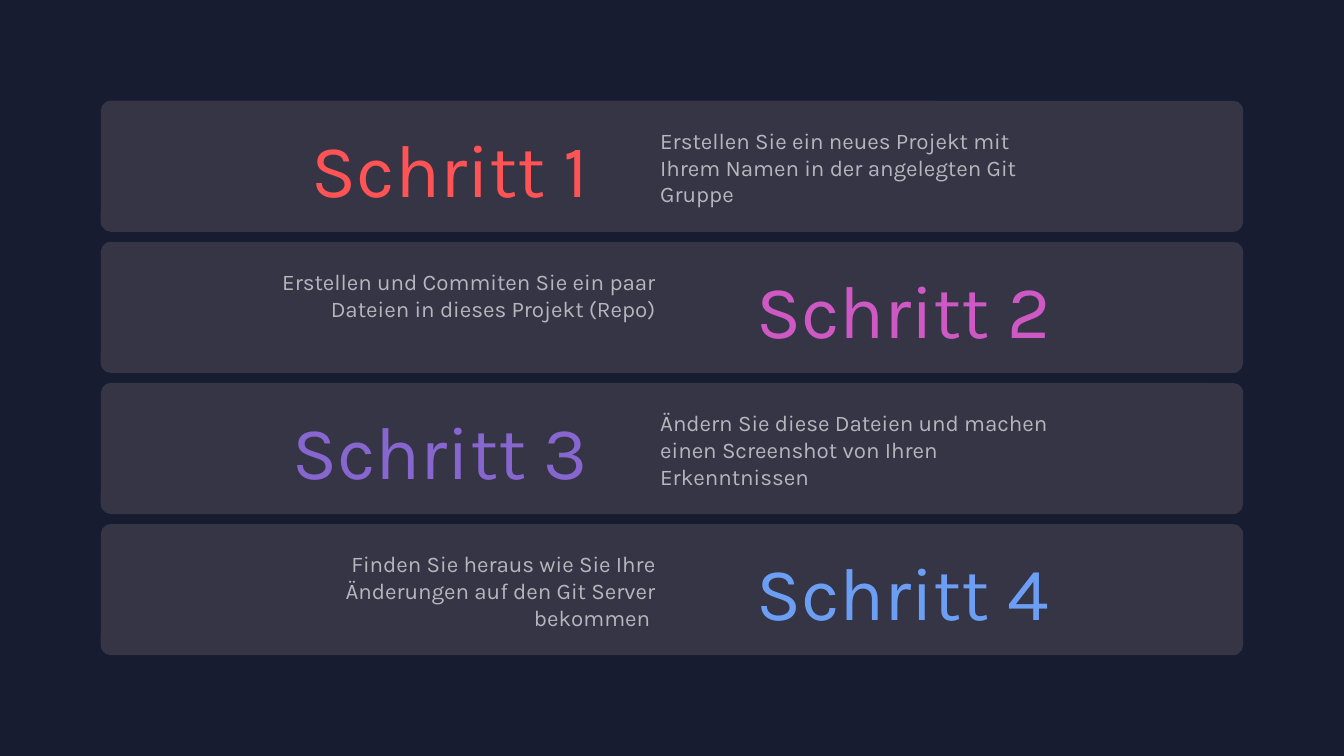
from pptx import Presentation
from pptx.dml.color import RGBColor
from pptx.enum.shapes import MSO_SHAPE
from pptx.enum.text import MSO_AUTO_SIZE, PP_ALIGN
from pptx.util import Inches, Pt

ROUNDED = MSO_SHAPE.ROUNDED_RECTANGLE
GROW = MSO_AUTO_SIZE.SHAPE_TO_FIT_TEXT
LEFT, RIGHT = PP_ALIGN.LEFT, PP_ALIGN.RIGHT
FONT = "Karla"
BACKGROUND, CARD, BODY = "171C30", "353545", "B6B6BD"
FIRST_TOP, PITCH = 1, 1.4

# Heading, description, gradient start and end, clockwise gradient angle
STEPS = [
    ("Schritt 1", "Erstellen Sie ein neues Projekt mit Ihrem Namen in der angelegten Git Gruppe",
     "FF5355", "CE59C4", 110),
    ("Schritt 2", "Erstellen und Commiten Sie ein paar Dateien in dieses Projekt (Repo)",
     "CE59C4", "8766D0", 110),
    ("Schritt 3", "Ändern Sie diese Dateien und machen einen Screenshot von Ihren Erkenntnissen",
     "8766D0", "6C9FF4", 310),
    ("Schritt 4", "Finden Sie heraus wie Sie Ihre Änderungen auf den Git Server bekommen ",
     "6C9FF4", "5BC9B0", 310),
]


def color(value):
    return RGBColor.from_string(value)


def add_card(slide, top):
    card = slide.shapes.add_shape(ROUNDED, Inches(1), Inches(top), Inches(11.33), Inches(1.3))
    card.adjustments[0] = 0.076
    card.shadow.inherit = False
    card.fill.solid()
    card.fill.fore_color.rgb = color(CARD)
    card.line.fill.background()


def add_text(slide, text, left, top, width, height, size, align):
    """Add a growing text box and return the font of its only run."""
    box = slide.shapes.add_textbox(Inches(left), Inches(top), Inches(width), Inches(height))
    frame = box.text_frame
    frame.word_wrap = True
    frame.auto_size = GROW
    frame.text = text
    para = frame.paragraphs[0]
    para.alignment = align
    font = para.runs[0].font
    font.name = FONT
    font.size = Pt(size)
    return font


def fill_gradient(font, start, end, angle):
    font.fill.gradient()
    font.fill.gradient_angle = 360 - angle
    for stop, value, position in zip(font.fill.gradient_stops, (start, end), (0.01, 1)):
        stop.color.rgb = color(value)
        stop.position = position


def add_step(slide, index, heading, description, start, end, angle):
    """Add one card, with the heading left on even indexes and right on odd ones."""
    top = FIRST_TOP + index * PITCH
    if index % 2 == 0:
        heading_left, heading_align, body_left, body_align = 1.41, RIGHT, 6.45, LEFT
    else:
        heading_left, heading_align, body_left, body_align = 7.4, LEFT, 2.44, RIGHT
    add_card(slide, top)
    heading_font = add_text(slide, heading, heading_left, top + 0.17, 4.52, 1, 53.3, heading_align)
    fill_gradient(heading_font, start, end, angle)
    body_font = add_text(slide, description, body_left, top + 0.21, 4.16, 0.64, 16, body_align)
    body_font.color.rgb = color(BODY)


def main():
    deck = Presentation()
    deck.slide_width, deck.slide_height = Inches(13.33), Inches(7.5)
    slide = deck.slides.add_slide(deck.slide_layouts[6])
    slide.background.fill.solid()
    slide.background.fill.fore_color.rgb = color(BACKGROUND)
    for index, step in enumerate(STEPS):
        add_step(slide, index, *step)
    deck.save("out.pptx")


if __name__ == "__main__":
    main()
